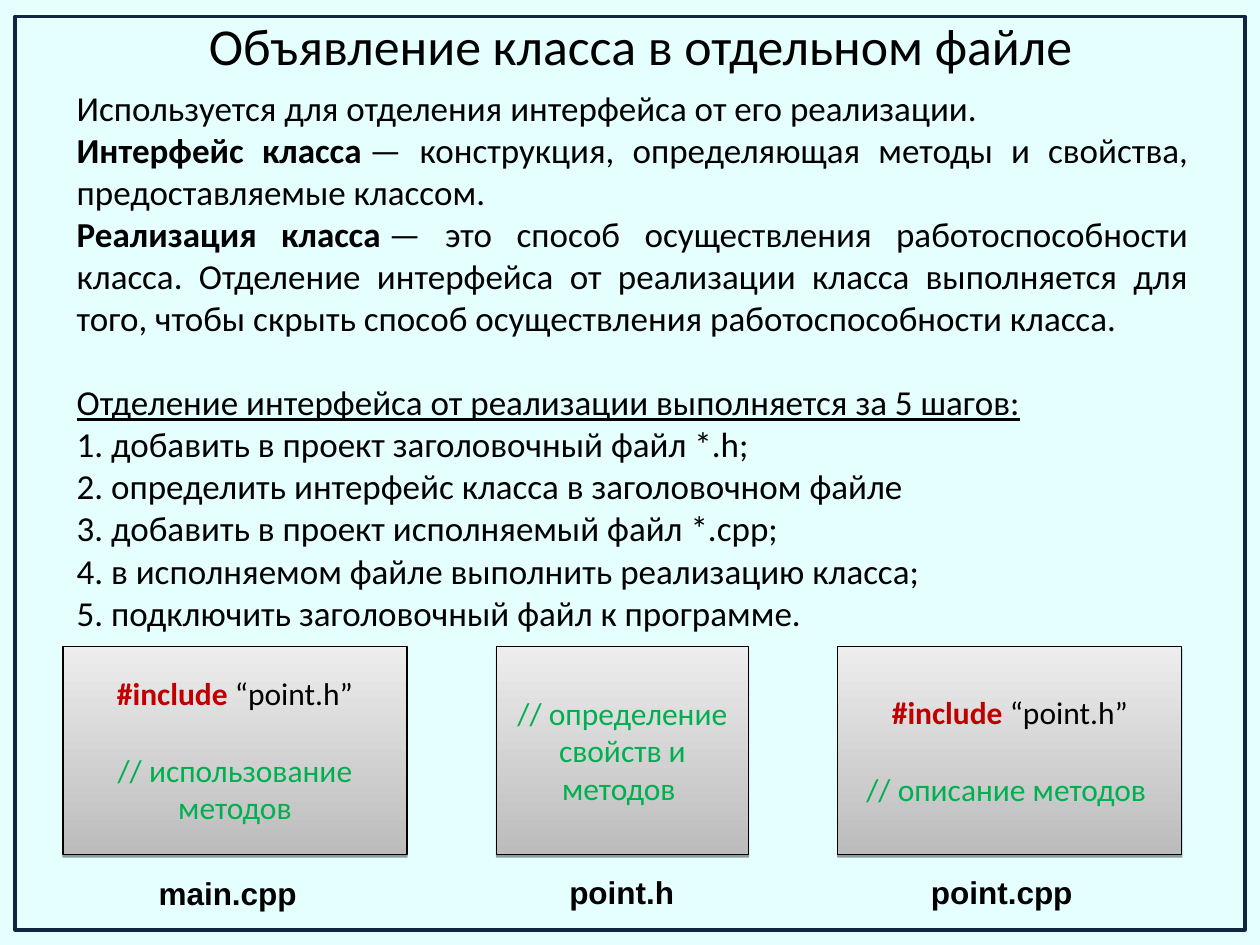
from dataclasses import dataclass
from typing import Any

from lxml import etree
from pptx import Presentation
from pptx.dml.color import RGBColor
from pptx.enum.shapes import MSO_SHAPE
from pptx.enum.text import MSO_ANCHOR, MSO_AUTO_SIZE, PP_ALIGN
from pptx.oxml.ns import qn
from pptx.util import Inches, Pt

RECT = MSO_SHAPE.RECTANGLE
TOP, MIDDLE = MSO_ANCHOR.TOP, MSO_ANCHOR.MIDDLE
NO_FIT = MSO_AUTO_SIZE.NONE
LEFT, CENTER, JUSTIFY = PP_ALIGN.LEFT, PP_ALIGN.CENTER, PP_ALIGN.JUSTIFY
BLACK, RED, GREEN, NAVY = "000000", "C00000", "00B050", "10253F"
GRAY, PALE, AQUA = "BCBCBC", "EDEDED", "E5FFFF"


@dataclass
class Run:
    text: str
    color: str = BLACK
    bold: bool = False
    underline: bool = False


@dataclass
class Para:
    runs: list[Run]
    before: float = 0


@dataclass
class Style:
    size: float
    font: str = "Calibri"
    align: Any = CENTER
    anchor: Any = MIDDLE
    wrap: bool = True


@dataclass
class Source:
    width: float
    paras: list[Para]
    name: str
    left: float
    top: float
    span: float


def paint(color: str) -> RGBColor:
    return RGBColor.from_string(color)


def apply(target: Any, values: dict[str, Any]) -> None:
    for key, value in values.items():
        setattr(target, key, value)


def write(shape: Any, paras: list[Para], style: Style) -> None:
    frame = shape.text_frame
    apply(frame, {"word_wrap": style.wrap, "auto_size": NO_FIT,
                  "vertical_anchor": style.anchor})
    for index, para in enumerate(paras):
        line = frame.paragraphs[0] if index == 0 else frame.add_paragraph()
        apply(line, {"alignment": style.align, "space_before": Pt(para.before)})
        for item in para.runs:
            run = line.add_run()
            run.text = item.text
            apply(run.font, {"size": Pt(style.size), "name": style.font,
                             "bold": item.bold, "underline": item.underline})
            run.font.color.rgb = paint(item.color)


def add_text(slide: Any, area: tuple[float, ...], paras: list[Para], style: Style) -> None:
    write(slide.shapes.add_textbox(*map(Inches, area)), paras, style)


def add_rect(slide: Any, area: tuple[float, ...], color: str, width: float) -> Any:
    shape = slide.shapes.add_shape(RECT, *map(Inches, area))
    shape.shadow.inherit = False
    shape.fill.background()
    shape.line.color.rgb = paint(color)
    shape.line.width = Pt(width)
    return shape


def add_shade(shape: Any) -> None:
    fill = shape.fill
    fill.gradient()
    fill.gradient_angle = 90
    for stop, color in zip(fill.gradient_stops, (GRAY, PALE)):
        stop.color.rgb = paint(color)
    effect = shape._element.spPr.find(qn("a:effectLst"))
    shadow = etree.SubElement(effect, qn("a:outerShdw"), blurRad="0",
                              dist=str(Pt(1.6)), dir="5400000", rotWithShape="0")
    tone = etree.SubElement(shadow, qn("a:srgbClr"), val=BLACK)
    etree.SubElement(tone, qn("a:alpha"), val="38000")


def include(note: str) -> list[Para]:
    return [Para([Run("#include ", RED, True), Run("“point.h”")]),
            Para([Run(note, GREEN)], before=22)]


TITLE = [Para([Run("Объявление класса в отдельном файле")])]
STEPS = [
    "добавить в проект заголовочный файл\u00a0*.h;",
    "определить интерфейс класса в заголовочном файле",
    "добавить в проект исполняемый файл\u00a0*.cpp;",
    "в исполняемом файле выполнить реализацию класса;",
    "подключить заголовочный файл к программе.",
]
BODY = [
    Para([Run("Используется для отделения интерфейса от его реализации.")]),
    Para([Run("Интерфейс класса", bold=True),
          Run("\u00a0— конструкция, определяющая методы и свойства, "
              "предоставляемые классом.")]),
    Para([Run("Реализация класса", bold=True),
          Run("\u00a0— это способ осуществления работоспособности класса. "
              "Отделение интерфейса от реализации класса выполняется для того, "
              "чтобы скрыть способ осуществления работоспособности класса.\u00a0")]),
    Para([Run("Отделение интерфейса от реализации выполняется за 5 шагов:",
              underline=True)], before=24),
    *(Para([Run(f"{index}. {step}")]) for index, step in enumerate(STEPS, 1)),
]
FILES = [
    Source(2.73, include("// использование методов"), "main.cpp", 1.16, 6.89, 1.29),
    Source(2, [Para([Run("// определение свойств и методов ", GREEN)])],
           "point.h", 4.42, 6.88, 1.03),
    Source(2.73, include("// описание методов "), "point.cpp", 7.29, 6.88, 1.32),
]
GAP = 0.71

deck = Presentation()
apply(deck, {"slide_width": Inches(10), "slide_height": Inches(7.5)})
slide = deck.slides.add_slide(deck.slide_layouts[6])
slide.background.fill.solid()
slide.background.fill.fore_color.rgb = paint(AQUA)

add_text(slide, (0.59, 0.05, 9, 0.61), TITLE, Style(29.6))
add_text(slide, (0.51, 0.64, 9.02, 4.77), BODY, Style(20, align=JUSTIFY, anchor=TOP))
add_rect(slide, (0.12, 0.13, 9.76, 7.25), NAVY, 2)

left = 0.5
label = Style(18, "Arial", LEFT, TOP, False)
for file in FILES:
    box = add_rect(slide, (left, 5.13, file.width, 1.65), BLACK, 0.74)
    add_shade(box)
    write(box, file.paras, Style(18))
    add_text(slide, (file.left, file.top, file.span, 0.4),
             [Para([Run(file.name, bold=True)])], label)
    left += file.width + GAP

deck.save("out.pptx")
